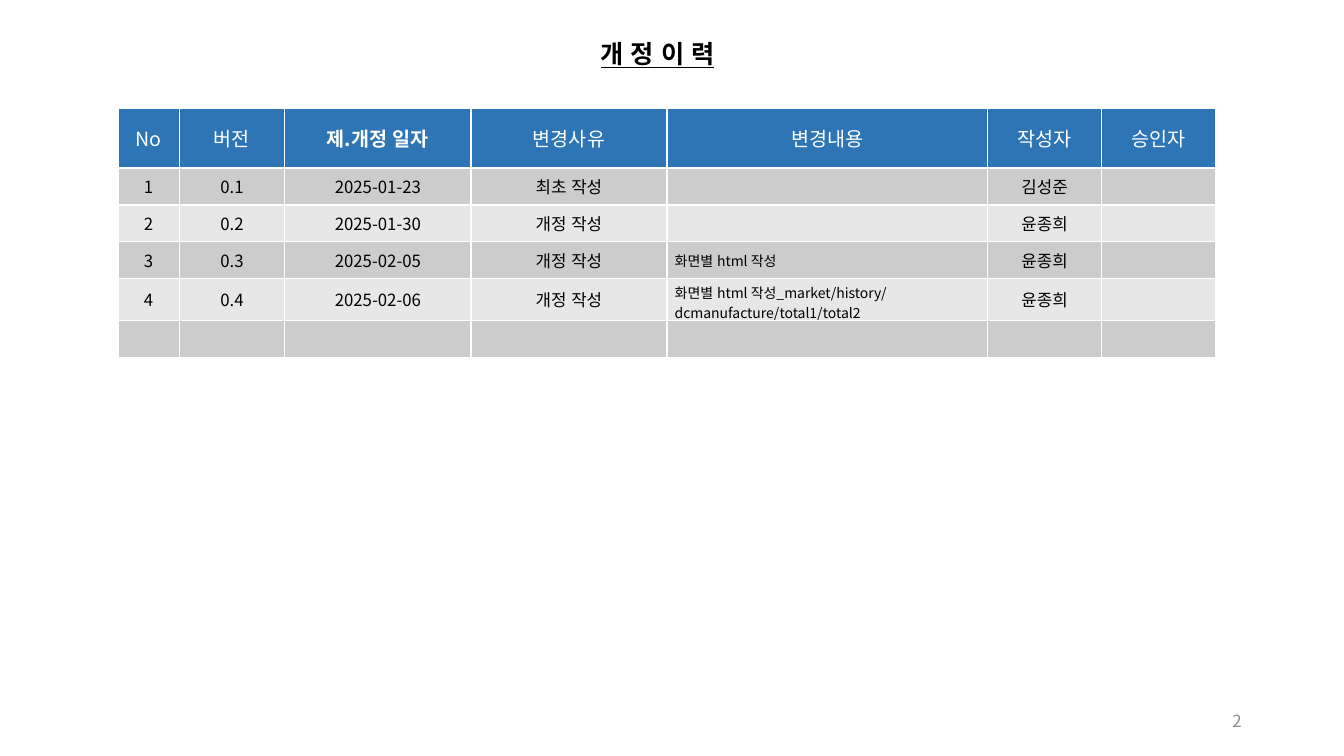
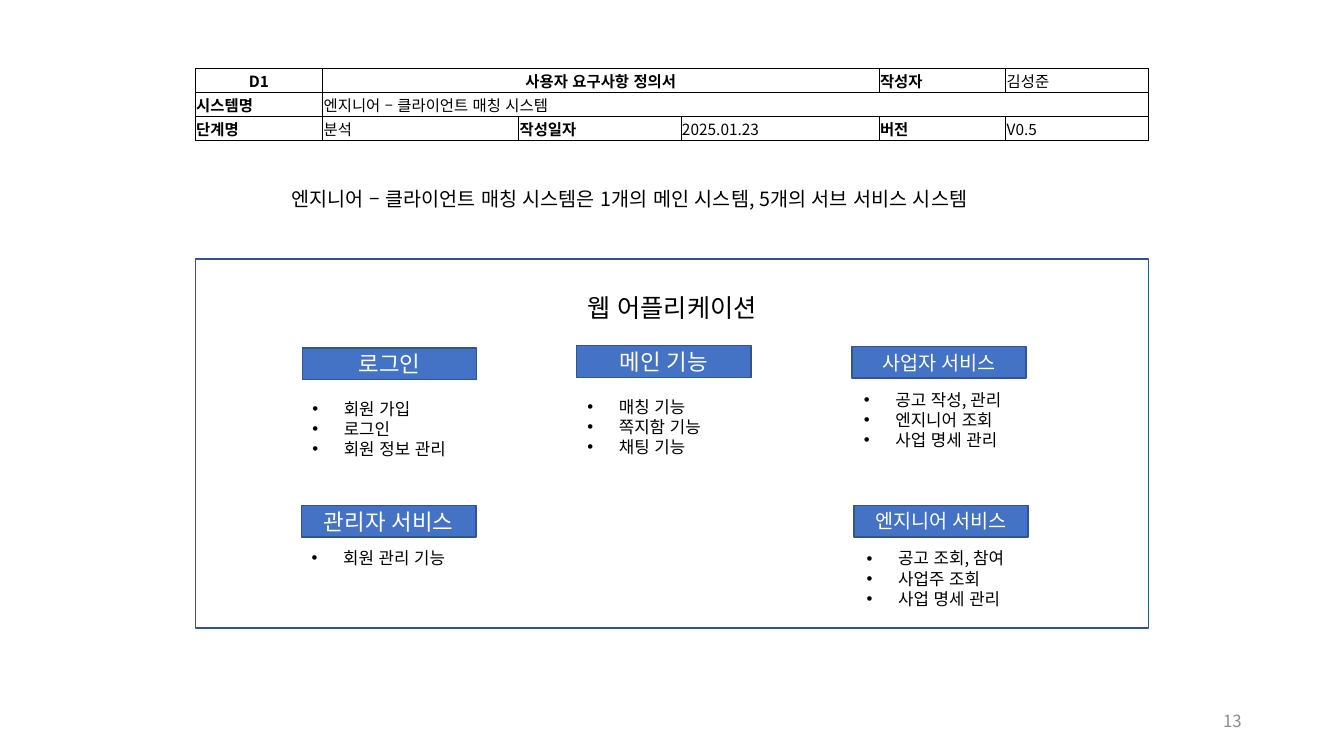
from dataclasses import dataclass

from lxml import etree
from pptx import Presentation
from pptx.dml.color import RGBColor
from pptx.enum.lang import MSO_LANGUAGE_ID
from pptx.enum.shapes import MSO_SHAPE
from pptx.enum.text import MSO_ANCHOR, MSO_AUTO_SIZE, PP_ALIGN
from pptx.oxml.ns import qn
from pptx.util import Pt

LEFT, CENTER, RIGHT = PP_ALIGN.LEFT, PP_ALIGN.CENTER, PP_ALIGN.RIGHT
TOP, MIDDLE = MSO_ANCHOR.TOP, MSO_ANCHOR.MIDDLE
RECTANGLE = MSO_SHAPE.RECTANGLE
KOREAN = MSO_LANGUAGE_ID.KOREAN


@dataclass(frozen=True)
class Theme:
    font: str = "Noto Sans CJK KR"
    title_font: str = "Arial"
    bullet_font: str = "Arial"
    black: str = "000000"
    white: str = "FFFFFF"
    page_number: str = "8C8C8C"
    header_fill: str = "2E75B6"
    odd_row: str = "CCCCCC"
    even_row: str = "E7E7E7"
    button_fill: str = "4472C4"
    outline: str = "325491"
    heading_size: float = 18
    button_size: float = 16
    lead_size: float = 14
    body_size: float = 12
    form_size: float = 11
    note_size: float = 10
    list_pitch: float = 14.4


theme = Theme()


def add_span(para, text, size, color=theme.black, bold=False, font=theme.font):
    span = para.add_run()
    span.text = text
    span.font.size = Pt(size)
    span.font.bold = bold
    span.font.name = font
    span.font.language_id = KOREAN
    span.font.color.rgb = RGBColor.from_string(color)
    latin = span.font._element.find(qn("a:latin"))
    east_asian = etree.Element(qn("a:ea"), typeface=theme.font)
    latin.addnext(east_asian)
    return span


def format_cell(cell, text, size, align, border, width, fill=None,
                color=theme.black, bold=False):
    cell.vertical_anchor = MIDDLE
    properties = cell._tc.get_or_add_tcPr()
    for side in ("lnL", "lnR", "lnT", "lnB"):
        edge = etree.SubElement(properties, qn(f"a:{side}"), w=str(Pt(width)))
        solid = etree.SubElement(edge, qn("a:solidFill"))
        etree.SubElement(solid, qn("a:srgbClr"), val=border)
    if fill:
        cell.fill.solid()
        cell.fill.fore_color.rgb = RGBColor.from_string(fill)
    else:
        cell.fill.background()
    frame = cell.text_frame
    for i, line in enumerate(text.split("\n")):
        para = frame.add_paragraph() if i else frame.paragraphs[0]
        para.alignment = align
        if line:
            add_span(para, line, size, color, bold)
        else:
            # The end mark keeps an empty row as low as its text size allows
            etree.SubElement(para._p, qn("a:endParaRPr"), sz=str(int(size * 100)))


deck = Presentation()
deck.slide_width, deck.slide_height = Pt(960), Pt(540)
title_only = deck.slide_layouts[5]

# Pages with their titles and page numbers
page_plan = [
    ("개 정 이 력", theme.heading_size, True, theme.title_font, TOP,
     (424, 24.5, 103, 27.5), (5, 3), "2"),
    ("엔지니어 – 클라이언트 매칭 시스템은 1개의 메인 시스템, 5개의 서브 서비스 시스템",
     theme.lead_size, False, theme.font, MIDDLE,
     (201, 129.5, 547, 24.5), (7.2, 3.6), "13"),
]
pages = []
for text, size, strong, font, anchor, place, (side, edge), number in page_plan:
    page = deck.slides.add_slide(title_only)
    pages.append(page)
    title = page.shapes.title
    title.left, title.top, title.width, title.height = map(Pt, place)
    frame = title.text_frame
    frame.auto_size = MSO_AUTO_SIZE.NONE
    frame.word_wrap = True
    frame.vertical_anchor = anchor
    frame.margin_left = frame.margin_right = Pt(side)
    frame.margin_top = frame.margin_bottom = Pt(edge)
    para = frame.paragraphs[0]
    para.alignment = LEFT
    span = add_span(para, text, size, bold=strong, font=font)
    span.font.underline = strong

    box = page.shapes.add_textbox(Pt(678), Pt(500.5), Pt(216), Pt(28.75))
    box.text_frame.word_wrap = True
    box.text_frame.vertical_anchor = MIDDLE
    para = box.text_frame.paragraphs[0]
    para.alignment = RIGHT
    add_span(para, number, theme.body_size, theme.page_number)

history_page, system_page = pages

# Revision history table
history = [
    ("No", "버전", "제.개정 일자", "변경사유", "변경내용", "작성자", "승인자"),
    ("1", "0.1", "2025-01-23", "최초 작성", "", "김성준", ""),
    ("2", "0.2", "2025-01-30", "개정 작성", "", "윤종희", ""),
    ("3", "0.3", "2025-02-05", "개정 작성", "화면별 html 작성", "윤종희", ""),
    ("4", "0.4", "2025-02-06", "개정 작성",
     "화면별 html 작성_market/history/\ndcmanufacture/total1/total2", "윤종희", ""),
    ("",) * 7,
]
history_widths = [43.75, 75.5, 133, 140, 229, 81.5, 81.5]
date_column, change_column = 2, 4
table = history_page.shapes.add_table(
    len(history), len(history_widths), Pt(84.25), Pt(77.5),
    Pt(sum(history_widths)), Pt(175)).table
table.first_row = table.horz_banding = False
for column, width in zip(table.columns, history_widths):
    column.width = Pt(width)
for r, row in enumerate(history):
    table.rows[r].height = Pt(26.4 if r else 42.5)
    for c, text in enumerate(row):
        if r == 0:
            look = dict(size=theme.lead_size, align=CENTER, color=theme.white,
                        fill=theme.header_fill, bold=c == date_column)
        else:
            note = c == change_column
            look = dict(size=theme.note_size if note else theme.body_size,
                        align=LEFT if note else CENTER,
                        fill=theme.odd_row if r % 2 else theme.even_row)
        cell = table.cell(r, c)
        cell.margin_left = cell.margin_right = Pt(5.5)
        cell.margin_top = cell.margin_bottom = Pt(2.75)
        format_cell(cell, text, border=theme.white, width=1, **look)

# Document form table
form = [
    ("D1", "사용자 요구사항 정의서", "", "", "작성자", "김성준"),
    ("시스템명", "엔지니어 – 클라이언트 매칭 시스템", "", "", "", ""),
    ("단계명", "분석", "작성일자", "2025.01.23", "버전", "V0.5"),
]
form_widths = [91, 140, 116, 141.5, 90.5, 102]
table = system_page.shapes.add_table(
    len(form), len(form_widths), Pt(139.5), Pt(49),
    Pt(sum(form_widths)), Pt(51)).table
table.first_row = table.horz_banding = False
for column, width in zip(table.columns, form_widths):
    column.width = Pt(width)
for r, row in enumerate(form):
    table.rows[r].height = Pt(17)
    for c, text in enumerate(row):
        heading = r == 0 and c < 2
        cell = table.cell(r, c)
        cell.margin_left = cell.margin_right = cell.margin_top = Pt(0.7)
        cell.margin_bottom = 0
        format_cell(cell, text, theme.form_size, CENTER if heading else LEFT,
                    theme.black, 0.5, bold=heading or c % 2 == 0)
table.cell(0, 1).merge(table.cell(0, 3))
table.cell(1, 1).merge(table.cell(1, 5))

# Application frame and service buttons: text, size, fill, colour, place
rectangles = [
    ("웹 어플리케이션", theme.heading_size, None, theme.black,
     (139.5, 185, 681, 263.5)),
    ("로그인", theme.button_size, theme.button_fill, theme.white,
     (216, 248.5, 124.5, 22.5)),
    ("메인 기능", theme.button_size, theme.button_fill, theme.white,
     (412, 247, 124.5, 22.5)),
    ("사업자 서비스", theme.lead_size, theme.button_fill, theme.white,
     (608.5, 247.5, 124.5, 22.5)),
    ("관리자 서비스", theme.button_size, theme.button_fill, theme.white,
     (215.5, 361, 124.5, 22.5)),
    ("엔지니어 서비스", theme.lead_size, theme.button_fill, theme.white,
     (610, 361, 124.5, 22.5)),
]
for text, size, fill, color, place in rectangles:
    shape = system_page.shapes.add_shape(RECTANGLE, *map(Pt, place))
    shape.shadow.inherit = False
    shape.line.color.rgb = RGBColor.from_string(theme.outline)
    shape.line.width = Pt(1)
    frame = shape.text_frame
    frame.word_wrap = True
    frame.margin_bottom = 0
    if fill:
        shape.fill.solid()
        shape.fill.fore_color.rgb = RGBColor.from_string(fill)
        frame.vertical_anchor = MIDDLE
        frame.margin_top = 0
    else:
        shape.fill.background()
        frame.vertical_anchor = TOP
        frame.margin_top = Pt(23.5)
    para = frame.paragraphs[0]
    para.alignment = CENTER
    add_span(para, text, size, color)

# Feature lists: left, top, items
feature_lists = [
    (216, 281, ["회원 가입", "로그인", "회원 정보 관리"]),
    (412.5, 279.5, ["매칭 기능", "쪽지함 기능", "채팅 기능"]),
    (610, 274.5, ["공고 작성, 관리", "엔지니어 조회", "사업 명세 관리"]),
    (215.5, 387.5, ["회원 관리 기능"]),
    (612, 388, ["공고 조회, 참여", "사업주 조회", "사업 명세 관리"]),
]
for left, top, items in feature_lists:
    height = theme.list_pitch * len(items) + 7.2
    box = system_page.shapes.add_textbox(Pt(left), Pt(top), Pt(130), Pt(height))
    frame = box.text_frame
    frame.word_wrap = True
    for i, item in enumerate(items):
        para = frame.add_paragraph() if i else frame.paragraphs[0]
        para.line_spacing = Pt(theme.list_pitch)
        properties = para._p.get_or_add_pPr()
        properties.set("marL", str(Pt(22.5)))
        properties.set("indent", str(-Pt(22.5)))
        etree.SubElement(properties, qn("a:buFont"), typeface=theme.bullet_font)
        etree.SubElement(properties, qn("a:buChar"), char="•")
        add_span(para, item, theme.body_size)

deck.save("out.pptx")
